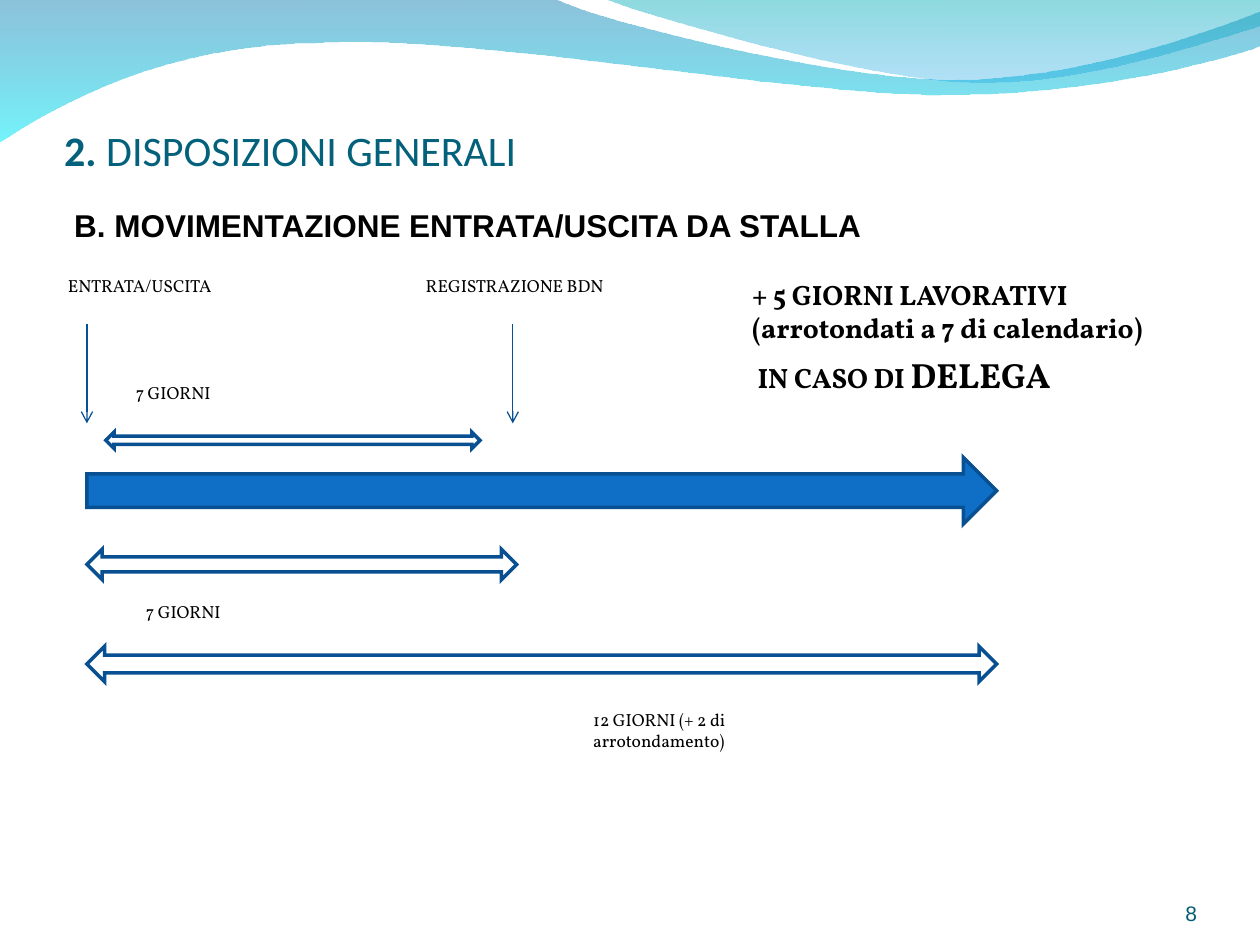
from lxml import etree
from pptx import Presentation
from pptx.dml.color import RGBColor
from pptx.enum.shapes import MSO_CONNECTOR as Connector, MSO_SHAPE as Shape
from pptx.enum.text import MSO_ANCHOR as Anchor, PP_ALIGN as Align
from pptx.oxml.ns import qn
from pptx.util import Inches, Pt

WHITE = RGBColor(0xFF, 0xFF, 0xFF)
BLACK = RGBColor(0x00, 0x00, 0x00)
TEAL = RGBColor(0x04, 0x61, 0x7B)
PAGE_TEAL = RGBColor(0x04, 0x5C, 0x75)
BLUE = RGBColor(0x0F, 0x6F, 0xC6)
OUTLINE = RGBColor(0x08, 0x50, 0x91)
POINTER = RGBColor(0x06, 0x50, 0x93)
WAVE_TOP = RGBColor(0x00, 0x79, 0xAF)
WAVE_BOTTOM = RGBColor(0x00, 0xEB, 0xF8)
CREST_TOP = RGBColor(0x00, 0xAD, 0xB6)
CREST_BOTTOM = RGBColor(0x00, 0x9B, 0xE5)

LABEL = {"name": "Vollkorn", "size": Pt(10), "bold": False}
NOTE = {"name": "Vollkorn", "size": Pt(16), "bold": True}
NOTE_STRONG = {**NOTE, "size": Pt(20)}
HEADING = {"name": "Arial", "size": Pt(18), "bold": True}
TITLE = {"name": "Calibri", "size": Pt(24), "bold": False}
TITLE_NUMBER = {**TITLE, "bold": True}
PAGE = {"name": "Arial", "size": Pt(12), "bold": False}

PADDED = (0.1, 0.05, 0.1, 0.05)
FLUSH = (0, 0, 0, 0)


class Deck:
    def __init__(self):
        self.prs = Presentation()
        self.prs.slide_width, self.prs.slide_height = Inches(10), Inches(7.5)
        self.slide = self.prs.slides.add_slide(self.prs.slide_layouts[6])
        self.shapes = self.slide.shapes

    def wave(self, start, segments, stops):
        """Curved band with a see-through gradient from top to bottom."""
        builder = self.shapes.build_freeform(*map(Inches, start))
        builder.add_line_segments(
            [tuple(map(Inches, point)) for segment in segments for point in segment],
            close=True)
        band = builder.convert_to_shape()
        self.bend(band, segments)
        band.shadow.inherit = False
        band.line.fill.background()
        band.fill.gradient()
        band.fill.gradient_angle = 270
        for stop, position, (color, _) in zip(band.fill.gradient_stops, (0, 1), stops):
            stop.color.rgb, stop.position = color, position
        colors = band._element.spPr.iter(qn("a:srgbClr"))
        for color_tag, (_, opacity) in zip(colors, stops):
            etree.SubElement(color_tag, qn("a:alpha"), val=str(opacity * 1000))

    def bend(self, band, segments):
        """Turn each three-point segment of the outline into one cubic curve."""
        lines = iter(list(band._element.spPr.iter(qn("a:lnTo"))))
        for segment in segments:
            parts = [next(lines) for _ in segment]
            if len(parts) == 3:
                curve = etree.Element(qn("a:cubicBezTo"))
                parts[0].addprevious(curve)
                for part in parts:
                    curve.append(part[0])
                    part.getparent().remove(part)

    def text(self, box, paragraphs, color=BLACK, insets=PADDED, anchor=Anchor.TOP,
             **paragraph_format):
        frame = self.shapes.add_textbox(*map(Inches, box)).text_frame
        sides = ("margin_left", "margin_top", "margin_right", "margin_bottom")
        frame_format = dict(zip(sides, map(Inches, insets)),
                            word_wrap=True, vertical_anchor=anchor)
        for key, value in frame_format.items():
            setattr(frame, key, value)
        for index, runs in enumerate(paragraphs):
            paragraph = frame.add_paragraph() if index else frame.paragraphs[0]
            if index:
                paragraph.space_before = Pt(5)
            for key, value in paragraph_format.items():
                setattr(paragraph, key, value)
            for words, style in runs:
                run = paragraph.add_run()
                run.text = words
                run.font.color.rgb = color
                for key, value in style.items():
                    setattr(run.font, key, value)

    def label(self, box, words):
        self.text(box, [[(words, LABEL)]])

    def arrow(self, kind, box, color=WHITE):
        block = self.shapes.add_shape(kind, *map(Inches, box))
        block.shadow.inherit = False
        block.fill.solid()
        block.fill.fore_color.rgb = color
        block.line.color.rgb = OUTLINE
        block.line.width = Pt(2)
        etree.SubElement(block.line._get_or_add_ln(), qn("a:miter"), lim="800000")

    def pointer(self, x, top, bottom):
        line = self.shapes.add_connector(
            Connector.STRAIGHT, *map(Inches, (x, top, x, bottom)))
        line.line.color.rgb = POINTER
        line.line.width = Pt(0.75)
        etree.SubElement(line.line._get_or_add_ln(), qn("a:tailEnd"), type="arrow")
        etree.SubElement(line._element.spPr, qn("a:effectLst"))


def main():
    deck = Deck()

    # Waves along the top edge
    deck.wave((0, -0.01), [
        [(4.4, -0.01)],
        [(4.76, 0.17), (6.64, 0.63), (7.58, 0.63)],
        [(8.53, 0.63), (9.58, 0.26), (10, 0.09)],
        [(10.01, 0.36)],
        [(9.83, 0.44), (8.7, 0.76), (7.46, 0.75)],
        [(6.22, 0.75), (3.82, 0.28), (2.57, 0.34)],
        [(1.29, 0.35), (0.46, 0.83), (-0.01, 1.13)],
    ], [(WAVE_TOP, 45), (WAVE_BOTTOM, 55)])
    deck.wave((4.79, -0.01), [
        [(5.09, 0.11), (6.82, 0.62), (7.69, 0.65)],
        [(8.56, 0.69), (9.61, 0.32), (10, 0.21)],
        [(10, 0)],
    ], [(CREST_TOP, 45), (CREST_BOTTOM, 30)])

    # Page number
    deck.text((8.67, 6.95, 0.83, 0.4), [[("8", PAGE)]], PAGE_TEAL, FLUSH,
              Anchor.BOTTOM, alignment=Align.RIGHT, line_spacing=0.93)

    # Timeline with its two events
    start, registration, length = 0.69, 4.07, 7.22
    deck.arrow(Shape.RIGHT_ARROW, (start, 3.63, length, 0.53), BLUE)
    for event in (start, registration):
        deck.pointer(event, 2.57, 3.36)
    deck.label((3.28, 2.13, 1.65, 0.27), "REGISTRAZIONE BDN")
    deck.label((0.44, 2.13, 1.42, 0.27), "ENTRATA/USCITA")

    # Heading
    deck.text((0.49, 1.31, 6.56, 0.68),
              [[("B. MOVIMENTAZIONE ENTRATA/USCITA DA STALLA", HEADING)]],
              insets=(0.1, 0.35, 0.1, 0.05), line_spacing=0.93)

    # Time spans
    for span in ((0.84, 3.43, 2.97, 0.13),
                 (start, 4.36, 3.41, 0.24),
                 (start, 5.13, length, 0.28)):
        deck.arrow(Shape.LEFT_RIGHT_ARROW, span)
    deck.label((0.98, 2.98, 1.1, 0.27), "7 GIORNI")
    deck.label((1.06, 4.72, 1.1, 0.27), "7 GIORNI")
    deck.label((4.61, 5.58, 1.62, 0.44), "12 GIORNI (+ 2 di arrotondamento)")

    # Extra days when delegated
    deck.text((5.87, 2.15, 3.31, 1.31), [
        [("+ 5 GIORNI LAVORATIVI (arrotondati a 7 di calendario)", NOTE)],
        [(" IN CASO DI ", NOTE), ("DELEGA", NOTE_STRONG)],
    ])

    # Title
    deck.text((0.51, 0.53, 9, 1.25),
              [[("2. ", TITLE_NUMBER), ("DISPOSIZIONI GENERALI", TITLE)]],
              TEAL, (0, 0.05, 0, 0.39), Anchor.BOTTOM)

    deck.prs.save("out.pptx")


if __name__ == "__main__":
    main()
